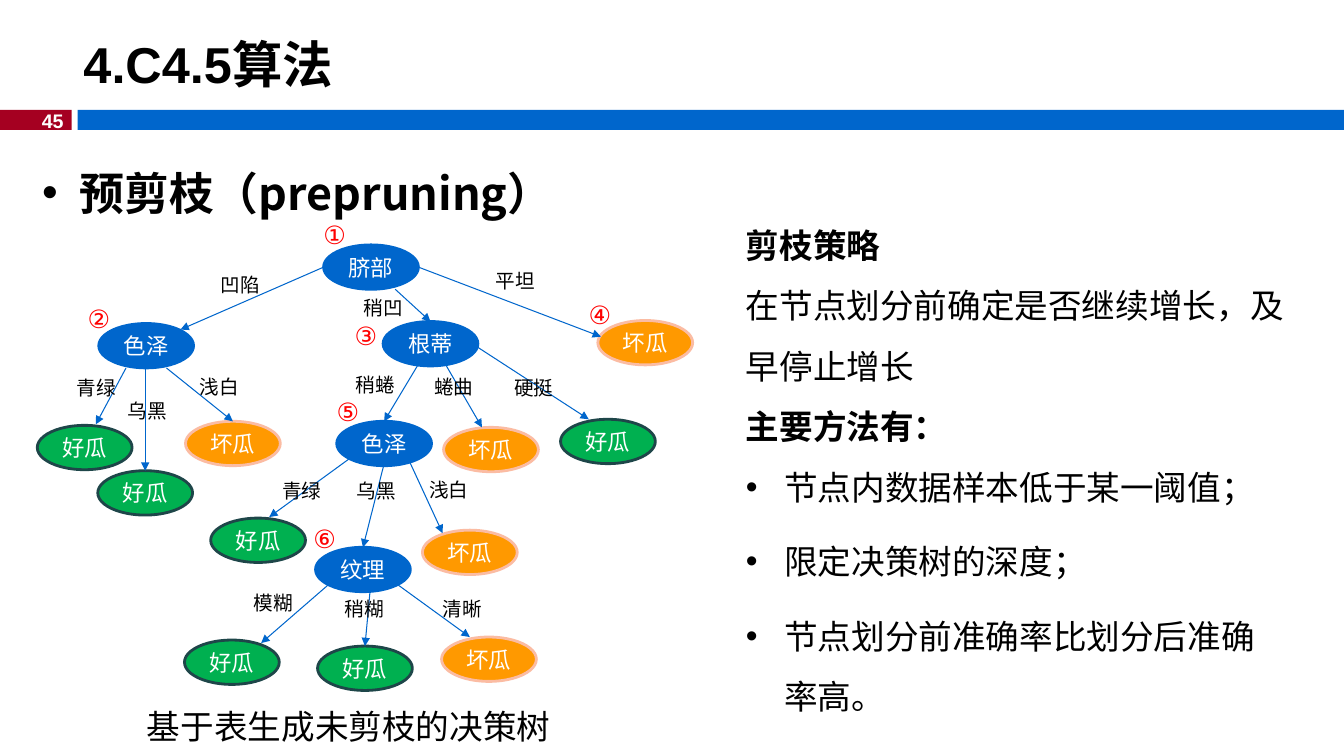
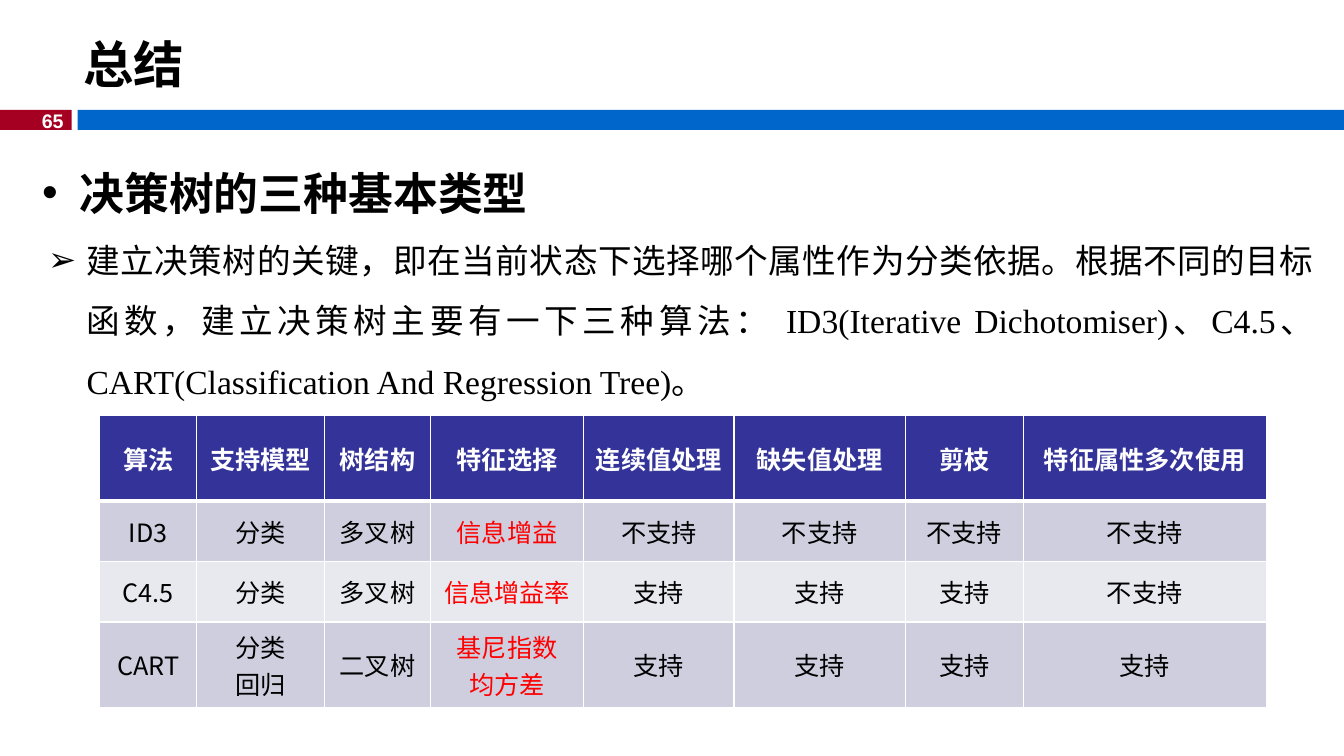
from lxml import etree
from pptx import Presentation
from pptx.dml.color import RGBColor
from pptx.enum import shapes, text
from pptx.oxml import ns
from pptx.util import Inches, Pt

BLUE, RED, WHITE, BLACK = "0066CC", "A50021", "FFFFFF", "000000"
MARK_RED, HEADER, BANDS = "FF0000", "333399", ("CECEDE", "E8E8EF")
ARIAL, SANS, SERIF = "Arial", "Noto Sans CJK SC", "Times New Roman"
LEFT, CENTER = text.PP_ALIGN.LEFT, text.PP_ALIGN.CENTER
NODE_W, NODE_H = 0.94, 0.44
NODE_COLORS = {"好瓜": ("00B050", "1E4649"), "坏瓜": ("FF9900", "FBBCA3")}

# Tree nodes: text, left, top, relative to the tree's corner
NODES = {
    "navel": ("脐部", 2.91, 0.33),
    "color": ("色泽", 0.68, 1.11),
    "root": ("根蒂", 3.5, 1.09),
    "flat": ("坏瓜", 5.63, 1.08),
    "color_green": ("好瓜", 0.07, 2.12),
    "color_black": ("好瓜", 0.67, 2.57),
    "color_pale": ("坏瓜", 1.54, 2.08),
    "shade": ("色泽", 3.04, 2.08),
    "root_curled": ("坏瓜", 4.1, 2.14),
    "root_stiff": ("好瓜", 5.26, 2.06),
    "shade_green": ("好瓜", 1.79, 3.04),
    "shade_pale": ("坏瓜", 3.89, 3.16),
    "texture": ("纹理", 2.83, 3.33),
    "texture_blurry": ("好瓜", 1.53, 4.25),
    "texture_slight": ("好瓜", 2.85, 4.31),
    "texture_clear": ("坏瓜", 4.08, 4.22),
}
# Branches: label, its corner, start, end (a point, or the node joined at its top)
BRANCHES = [
    ("凹陷", (1.79, 0.56), (2.91, 0.55), (1.49, 1.17)),
    ("稍凹", (3.21, 0.79), (3.62, 0.77), "root"),
    ("平坦", (4.52, 0.52), (3.85, 0.55), (5.66, 1.24)),
    ("青绿", (0.36, 1.58), (0.95, 1.55), (0.65, 2.11)),
    ("乌黑", (0.87, 1.81), (1.14, 1.54), "color_black"),
    ("浅白", (1.58, 1.57), (1.35, 1.55), "color_pale"),
    ("稍蜷", (3.13, 1.55), (3.84, 1.53), "shade"),
    ("蜷曲", (3.91, 1.57), (4.11, 1.5), (4.48, 2.14)),
    ("硬挺", (4.7, 1.58), (4.43, 1.34), (5.54, 2.06)),
    ("青绿", (2.4, 2.6), (3.18, 2.44), (2.37, 3.03)),
    ("乌黑", (3.14, 2.6), (3.51, 2.5), "texture"),
    ("浅白", (3.86, 2.59), (3.73, 2.41), (4.09, 3.19)),
    ("模糊", (2.12, 3.71), (2.97, 3.69), (2.29, 4.28)),
    ("稍糊", (3.02, 3.77), (3.37, 3.77), "texture_slight"),
    ("清晰", (3.99, 3.77), (3.63, 3.69), (4.36, 4.22)),
]
STEPS = [("①", 2.81, 0.03), ("②", 0.47, 0.86), ("③", 3.12, 1.03),
         ("④", 5.44, 0.82), ("⑤", 2.94, 1.78), ("⑥", 2.71, 3.04)]

STRATEGY = [
    ("剪枝策略", True, False),
    ("在节点划分前确定是否继续增长，及早停止增长", False, False),
    ("主要方法有：", True, False),
    ("节点内数据样本低于某一阈值；", False, True),
    ("限定决策树的深度；", False, True),
    ("节点划分前准确率比划分后准确率高。", False, True),
]
SUMMARY = ("建立决策树的关键，即在当前状态下选择哪个属性作为分类依据。根据不同的目标函数，"
           "建立决策树主要有一下三种算法： ID3(Iterative Dichotomiser)、C4.5、"
           "CART(Classification And Regression Tree)。")
COLUMNS = [0.96, 1.27, 1.05, 1.52, 1.49, 1.7, 1.17, 2.41]
ROW_HEIGHTS = [0.85, 0.6, 0.6, 0.85]
CRITERION = 3  # the column set in red
COMPARISON = [
    ["算法", "支持模型", "树结构", "特征选择", "连续值处理", "缺失值处理", "剪枝", "特征属性多次使用"],
    ["ID3", "分类", "多叉树", "信息增益", "不支持", "不支持", "不支持", "不支持"],
    ["C4.5", "分类", "多叉树", "信息增益率", "支持", "支持", "支持", "不支持"],
    ["CART", "分类\n回归", "二叉树", "基尼指数\n均方差", "支持", "支持", "支持", "支持"],
]


def rgb(value):
    return RGBColor.from_string(value)


def add_xml(parent, tag, **attributes):
    return etree.SubElement(parent, ns.qn(tag), attributes)


def style(paragraph, size, color=BLACK, bold=False, face=ARIAL, align=LEFT):
    paragraph.alignment = align
    font = paragraph.font
    font.size, font.bold, font.name = Pt(size), bold, face
    font.color.rgb = rgb(color)
    add_xml(font._element, "a:ea", typeface=SANS)


def bullet(paragraph, mark="•", indent=0.38):
    properties = paragraph._p.get_or_add_pPr()
    properties.set("marL", str(Inches(indent)))
    properties.set("indent", str(-Inches(indent)))
    add_xml(properties, "a:buFont", typeface=ARIAL)
    add_xml(properties, "a:buChar", char=mark)


def text_frame(slide, left, top, width, height, wrap=True):
    box = slide.shapes.add_textbox(Inches(left), Inches(top), Inches(width), Inches(height))
    box.text_frame.word_wrap = wrap
    return box.text_frame


def label(slide, words, left, top, width, height, size, **look):
    frame = text_frame(slide, left, top, width, height)
    frame.text = words
    style(frame.paragraphs[0], size, **look)
    return frame


def solid(slide, preset, left, top, width, height, fill, line=None):
    shape = slide.shapes.add_shape(preset, Inches(left), Inches(top), Inches(width), Inches(height))
    shape.shadow.inherit = False
    shape.fill.solid()
    shape.fill.fore_color.rgb = rgb(fill)
    if line:
        shape.line.color.rgb = rgb(line)
        shape.line.width = Pt(2)
    else:
        shape.line.fill.background()
    return shape


def base_slide(deck, title, number, heading):
    """Bands, page number, title and heading that every slide has."""
    slide = deck.slides.add_slide(deck.slide_layouts[6])
    for left, width, fill in ((0, 0.71, RED), (0.77, 12.56, BLUE)):
        solid(slide, shapes.MSO_SHAPE.RECTANGLE, left, 1.09, width, 0.2, fill)
    label(slide, number, 0.23, 1.03, 0.5, 0.34, 14, color=WHITE, bold=True,
          align=text.PP_ALIGN.RIGHT)
    title_frame = label(slide, title, 0.73, 0.26, 12.6, 0.74, 36, bold=True)
    title_frame.vertical_anchor = text.MSO_ANCHOR.MIDDLE
    frame = text_frame(slide, 0.32, 1.59, 12.6, 0.7)
    frame.text = heading
    paragraph = frame.paragraphs[0]
    bullet(paragraph, indent=0.37)
    paragraph.space_before = Pt(6.4)
    style(paragraph, 32, bold=True, face=SANS)
    return slide


def decision_tree(slide, left, top):
    # Nodes
    nodes = {}
    for key, (words, x, y) in NODES.items():
        fill, line = NODE_COLORS.get(words, (BLUE, BLUE))
        node = solid(slide, shapes.MSO_SHAPE.OVAL, left + x, top + y, NODE_W, NODE_H, fill, line)
        frame = node.text_frame
        frame.margin_left = frame.margin_right = frame.margin_top = frame.margin_bottom = 0
        frame.vertical_anchor = text.MSO_ANCHOR.MIDDLE
        frame.text = words
        style(frame.paragraphs[0], 16, WHITE, align=CENTER)
        nodes[key] = node
    # Branches
    for words, (label_x, label_y), (x, y), end in BRANCHES:
        joined = isinstance(end, str)
        end_x, end_y = (x, y) if joined else end
        branch = slide.shapes.add_connector(
            shapes.MSO_CONNECTOR.STRAIGHT, Inches(left + x), Inches(top + y),
            Inches(left + end_x), Inches(top + end_y))
        if joined:
            branch.end_connect(nodes[end], 0)
        branch.line.color.rgb = rgb(BLUE)
        branch.line.width = Pt(0.75)
        add_xml(branch.line._get_or_add_ln(), "a:tailEnd", type="triangle")
        add_xml(branch._element.spPr, "a:effectLst")
        label(slide, words, left + label_x, top + label_y, 0.7, 0.34, 14)
    # Order of the splits
    for number, x, y in STEPS:
        label(slide, number, left + x, top + y, 0.7, 0.4, 18, color=MARK_RED)
    label(slide, "基于表生成未剪枝的决策树", left + 1.06, top + 4.85, 6.67, 0.5, 24)


def strategy_notes(slide, left, top, width, height):
    frame = text_frame(slide, left, top, width, height)
    frame.text = "\n".join(words for words, _, _ in STRATEGY)
    for paragraph, (_, bold, listed) in zip(frame.paragraphs, STRATEGY):
        if listed:
            bullet(paragraph)
            paragraph.space_after = Pt(10)
        paragraph.line_spacing = 1.5
        style(paragraph, 24, bold=bold, face=SANS)


def summary_text(slide, left, top, width, height):
    frame = text_frame(slide, left, top, width, height)
    frame.text = SUMMARY
    paragraph = frame.paragraphs[0]
    bullet(paragraph, "➢")
    paragraph.line_spacing = 1.5
    style(paragraph, 24, face=SERIF, align=text.PP_ALIGN.JUSTIFY)


def cell_border(cell, side, points):
    line = add_xml(cell._tc.get_or_add_tcPr(), "a:ln" + side, w=str(Pt(points)))
    add_xml(add_xml(line, "a:solidFill"), "a:srgbClr", val=WHITE)


def comparison_table(slide, left, top):
    table = slide.shapes.add_table(
        len(COMPARISON), len(COLUMNS), Inches(left), Inches(top),
        Inches(sum(COLUMNS)), Inches(sum(ROW_HEIGHTS))).table
    for column, width in zip(table.columns, COLUMNS):
        column.width = Inches(width)
    for r, (row, height) in enumerate(zip(COMPARISON, ROW_HEIGHTS)):
        table.rows[r].height = Inches(height)
        header = r == 0
        for c, words in enumerate(row):
            cell = table.cell(r, c)
            for side in "LRTB":
                thick = (r, side) in ((0, "B"), (1, "T"))
                cell_border(cell, side, 3 if thick else 1)
            cell.fill.solid()
            cell.fill.fore_color.rgb = rgb(HEADER if header else BANDS[(r - 1) % 2])
            cell.vertical_anchor = text.MSO_ANCHOR.MIDDLE
            cell.margin_left = cell.margin_right = Inches(0.05)
            cell.text = words
            color = WHITE if header else MARK_RED if c == CRITERION else BLACK
            for paragraph in cell.text_frame.paragraphs:
                style(paragraph, 18, color, header, SANS, CENTER)


def main():
    deck = Presentation()
    deck.slide_width, deck.slide_height = Inches(13.33), Inches(7.5)

    pruning = base_slide(deck, "4.C4.5算法", "45", "预剪枝（prepruning）")
    decision_tree(pruning, 0.3, 2.1)
    strategy_notes(pruning, 7.3, 1.98, 5.56, 5.16)

    conclusion = base_slide(deck, "总结", "65", "决策树的三种基本类型")
    comparison_table(conclusion, 0.99, 4.12)
    summary_text(conclusion, 0.38, 2.13, 12.75, 1.92)

    deck.save("out.pptx")


if __name__ == "__main__":
    main()
